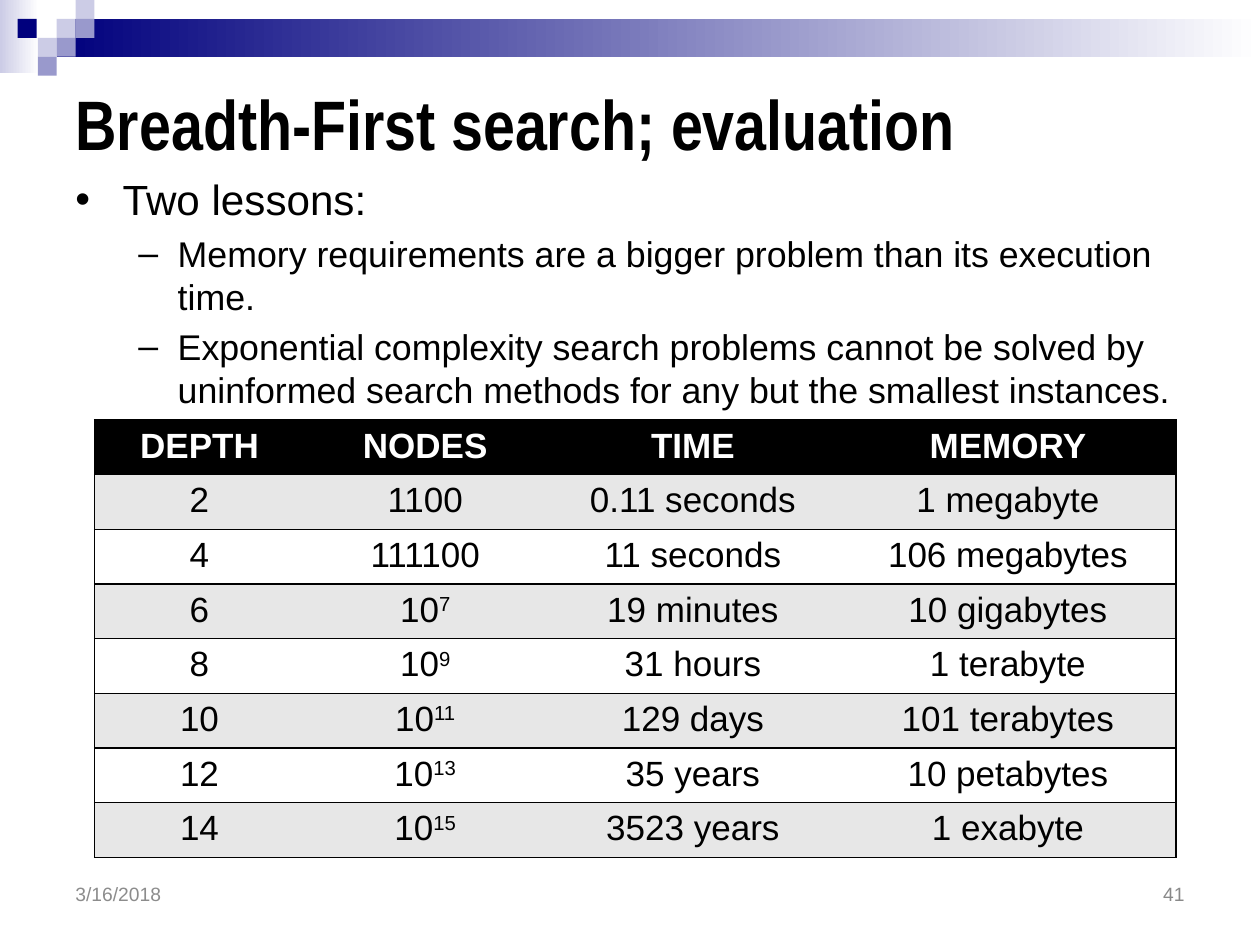
from dataclasses import dataclass
from typing import Optional

from lxml.etree import SubElement
from pptx import Presentation
from pptx.dml.color import RGBColor
from pptx.enum.shapes import MSO_SHAPE
from pptx.enum.text import MSO_ANCHOR, MSO_AUTO_SIZE, PP_ALIGN
from pptx.oxml.ns import qn
from pptx.util import Pt

BLACK = RGBColor(0x00, 0x00, 0x00)
WHITE = RGBColor(0xFF, 0xFF, 0xFF)
BAND = RGBColor(0xE7, 0xE7, 0xE7)
NAVY = RGBColor(0x00, 0x00, 0x7D)
LAVENDER = RGBColor(0xCC, 0xCC, 0xE6)
VIOLET = RGBColor(0x99, 0x99, 0xCC)
DATE_GREY = RGBColor(0x8C, 0x8C, 0x8C)
NUMBER_GREY = RGBColor(0x89, 0x89, 0x89)

TILE = 10.8


@dataclass(frozen=True)
class Block:
    left: float
    top: float
    width: float
    height: float
    color: RGBColor
    fade_to: Optional[RGBColor] = None


@dataclass(frozen=True)
class Bullet:
    text: str
    level: int
    symbol: str
    size: float
    margin: float
    hanging: float
    space_before: float


@dataclass(frozen=True)
class Footer:
    text: str
    left: float
    color: RGBColor
    align: PP_ALIGN


BLOCKS = [
    Block(0, 0, 22.3, 41.8, LAVENDER, WHITE),
    Block(3 * TILE, TILE, 720 - 3 * TILE, 21.6, NAVY, WHITE),
    Block(10.1, TILE, TILE, TILE, NAVY),
] + [
    Block(column * TILE, row * TILE, TILE, TILE, color)
    for column, row, color in [
        (3, 1, LAVENDER), (4, 0, LAVENDER), (4, 1, VIOLET),
        (2, 2, LAVENDER), (3, 2, VIOLET), (2, 3, VIOLET),
    ]
]

BULLETS = [
    Bullet("Two lessons:", 0, "•", 24.1, 27, 27, 0),
    Bullet("Memory requirements are a bigger problem than its execution time.",
           1, "–", 20.4, 58.5, 22.5, 4.1),
    Bullet("Exponential complexity search problems cannot be solved by "
           "uninformed search methods for any but the smallest instances.",
           1, "–", 20.4, 58.5, 22.5, 4.1),
]

COLUMN_WIDTHS = [120, 138, 168, 192]
ROW_HEIGHT = 31.15
ROWS = [
    ("DEPTH", "NODES", "TIME", "MEMORY"),
    ("2", "1100", "0.11 seconds", "1 megabyte"),
    ("4", "111100", "11 seconds", "106 megabytes"),
    ("6", "10^7", "19 minutes", "10 gigabytes"),
    ("8", "10^9", "31 hours", "1 terabyte"),
    ("10", "10^11", "129 days", "101 terabytes"),
    ("12", "10^13", "35 years", "10 petabytes"),
    ("14", "10^15", "3523 years", "1 exabyte"),
]

FOOTERS = [
    Footer("3/16/2018", 36, DATE_GREY, PP_ALIGN.LEFT),
    Footer("41", 516, NUMBER_GREY, PP_ALIGN.RIGHT),
]


def write(para, text: str, *, size: float, color: RGBColor = BLACK, font: str = "Arial",
          bold: bool = False, align: PP_ALIGN = PP_ALIGN.LEFT) -> None:
    para.alignment = align
    base, _, exponent = text.partition("^")
    for part in filter(None, (base, exponent)):
        span = para.add_run()
        span.text = part
        span.font.name = font
        span.font.size = Pt(size)
        span.font.bold = bold
        span.font.color.rgb = color
        if part is exponent:
            span.font._element.set("baseline", "30000")


def draw_block(page, block: Block) -> None:
    box = page.shapes.add_shape(MSO_SHAPE.RECTANGLE, Pt(block.left), Pt(block.top),
                                Pt(block.width), Pt(block.height))
    box.shadow.inherit = False
    box.line.fill.background()
    if block.fade_to is None:
        box.fill.solid()
        box.fill.fore_color.rgb = block.color
        return
    box.fill.gradient()
    box.fill.gradient_angle = 0
    for stop, color in zip(box.fill.gradient_stops, (block.color, block.fade_to)):
        stop.color.rgb = color


def draw_title(page) -> None:
    title = page.shapes.title
    title.left, title.top, title.width, title.height = Pt(36), Pt(32.4), Pt(648), Pt(75.6)
    frame = title.text_frame
    frame.auto_size = MSO_AUTO_SIZE.NONE
    frame.vertical_anchor = MSO_ANCHOR.MIDDLE
    write(frame.paragraphs[0], "Breadth-First search; evaluation",
          size=40, font="Arial Narrow", bold=True)


def draw_bullets(page, bullets: list[Bullet]) -> None:
    box = page.shapes.add_textbox(Pt(36), Pt(95.8), Pt(648), Pt(156.2))
    frame = box.text_frame
    frame.word_wrap = True
    for index, bullet in enumerate(bullets):
        para = frame.add_paragraph() if index else frame.paragraphs[0]
        para.level = bullet.level
        para.line_spacing = 1.0
        para.space_before = Pt(bullet.space_before)
        write(para, bullet.text, size=bullet.size)
        properties = para._p.get_or_add_pPr()
        properties.set("marL", str(Pt(bullet.margin)))
        properties.set("indent", str(-Pt(bullet.hanging)))
        SubElement(properties, qn("a:buFont")).set("typeface", "Arial")
        SubElement(properties, qn("a:buChar")).set("char", bullet.symbol)


def set_border(cell, edge: str, visible: bool) -> None:
    line = SubElement(cell._tc.get_or_add_tcPr(), qn(f"a:ln{edge}"))
    line.set("w", str(Pt(1)))
    if visible:
        fill = SubElement(line, qn("a:solidFill"))
        SubElement(fill, qn("a:srgbClr")).set("val", str(BLACK))
    else:
        SubElement(line, qn("a:noFill"))


def draw_table(page, rows: list[tuple[str, ...]]) -> None:
    table = page.shapes.add_table(len(rows), len(COLUMN_WIDTHS), Pt(54), Pt(240),
                                  Pt(sum(COLUMN_WIDTHS)), Pt(ROW_HEIGHT * len(rows))).table
    for column, width in zip(table.columns, COLUMN_WIDTHS):
        column.width = Pt(width)
    last = len(COLUMN_WIDTHS) - 1
    for row_index, values in enumerate(rows):
        table.rows[row_index].height = Pt(ROW_HEIGHT)
        header = row_index == 0
        background = BLACK if header else BAND if row_index % 2 else WHITE
        for column_index, value in enumerate(values):
            cell = table.cell(row_index, column_index)
            set_border(cell, "L", column_index == 0)
            set_border(cell, "R", column_index == last)
            set_border(cell, "T", True)
            set_border(cell, "B", True)
            cell.fill.solid()
            cell.fill.fore_color.rgb = background
            write(cell.text_frame.paragraphs[0], value, size=20, bold=header,
                  color=WHITE if header else BLACK, align=PP_ALIGN.CENTER)


def draw_footer(page, footer: Footer) -> None:
    box = page.shapes.add_textbox(Pt(footer.left), Pt(498.2), Pt(168), Pt(25.2))
    frame = box.text_frame
    frame.word_wrap = True
    frame.vertical_anchor = MSO_ANCHOR.MIDDLE
    write(frame.paragraphs[0], footer.text, size=11, color=footer.color, align=footer.align)


def main() -> None:
    deck = Presentation()
    deck.slide_width, deck.slide_height = Pt(720), Pt(540)
    page = deck.slides.add_slide(deck.slide_layouts[5])
    for block in BLOCKS:
        draw_block(page, block)
    draw_title(page)
    draw_bullets(page, BULLETS)
    draw_table(page, ROWS)
    for footer in FOOTERS:
        draw_footer(page, footer)
    deck.save("out.pptx")


if __name__ == "__main__":
    main()
